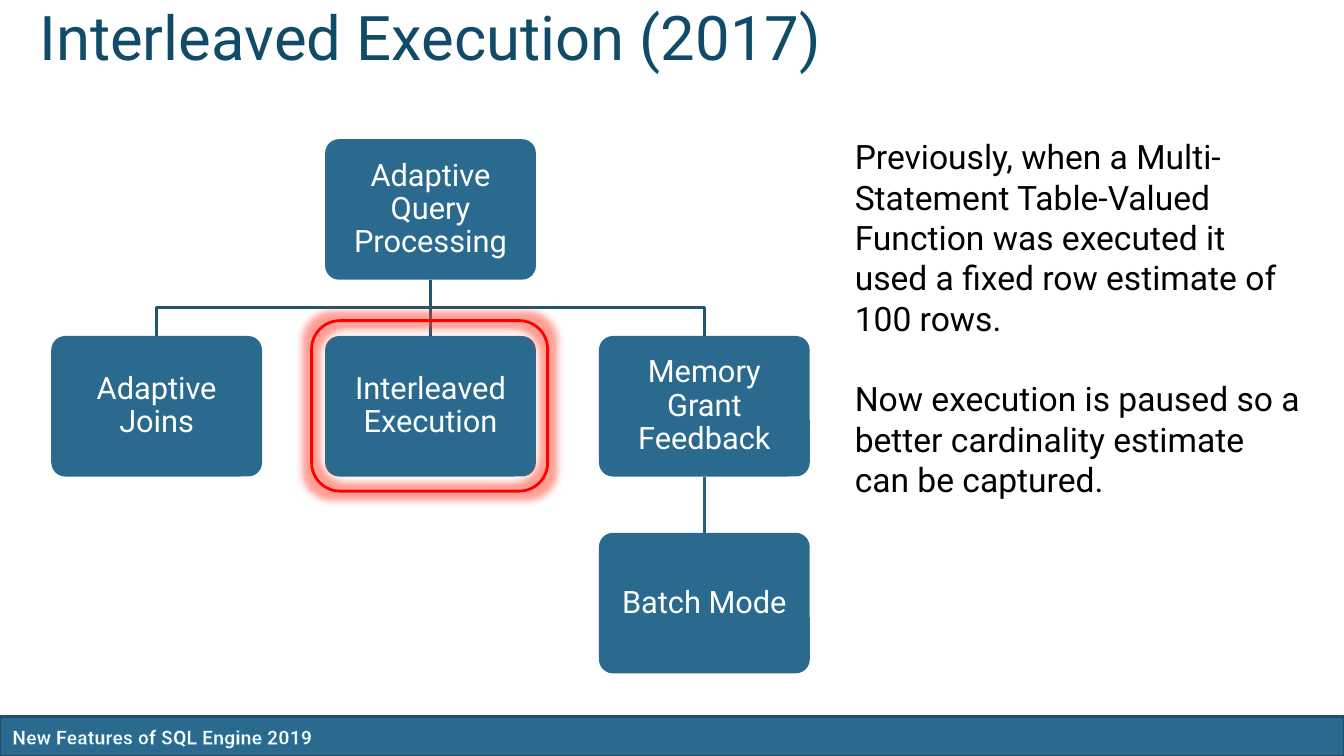
from lxml.etree import SubElement
from pptx import Presentation
from pptx.dml.color import RGBColor
from pptx.enum.shapes import MSO_CONNECTOR, MSO_SHAPE
from pptx.enum.text import MSO_ANCHOR, MSO_AUTO_SIZE, PP_ALIGN
from pptx.oxml.ns import qn
from pptx.util import Pt

COLORS = {
    "box": "296A8E", "bar_edge": "1E4E69", "title": "104C6A",
    "branch": "215572", "batch_branch": "256081", "white": "FFFFFF",
    "black": "000000", "text_edge": "1872A0", "highlight": "FF0000",
    "glow": "FF3C28",
}

# Tree grid
LEFT, TOP = 36.6, 99.4
BOX_WIDTH, BOX_HEIGHT = 150.6, 100.4
COLUMN_STEP, ROW_STEP = 195.6, 140.6

# Name: (text, column, row)
NODES = {
    "root": ("Adaptive Query Processing", 1, 0),
    "joins": ("Adaptive Joins", 0, 1),
    "interleaved": ("Interleaved Execution", 1, 1),
    "memory": ("Memory Grant Feedback", 2, 1),
    "batch": ("Batch Mode", 2, 2),
}


def color(name):
    return RGBColor.from_string(COLORS[name])


def add_color(parent, name):
    fill = SubElement(parent, qn("a:solidFill"))
    return SubElement(fill, qn("a:srgbClr"), val=COLORS[name])


class SlideBuilder:
    font_name = "Roboto"

    def __init__(self, slide):
        self.slide = slide

    def fill_text(self, shape, paragraphs, size, font_color, bold=False,
                  inset=(7.2, 3.6), anchor=MSO_ANCHOR.TOP, **paragraph_format):
        frame = shape.text_frame
        horizontal, vertical = map(Pt, inset)
        frame_format = {
            "word_wrap": True, "auto_size": MSO_AUTO_SIZE.NONE,
            "vertical_anchor": anchor,
            "margin_left": horizontal, "margin_right": horizontal,
            "margin_top": vertical, "margin_bottom": vertical,
        }
        for name, value in frame_format.items():
            setattr(frame, name, value)
        frame.text = "\n".join(paragraphs)
        font_format = {"name": self.font_name, "size": Pt(size), "bold": bold}
        for paragraph in frame.paragraphs:
            for name, value in paragraph_format.items():
                setattr(paragraph, name, value)
            for run in paragraph.runs:
                for name, value in font_format.items():
                    setattr(run.font, name, value)
                run.font.color.rgb = color(font_color)
        return frame

    def title(self, text, left, top, width, height):
        shape = self.slide.shapes.title
        shape.left, shape.top = Pt(left), Pt(top)
        shape.width, shape.height = Pt(width), Pt(height)
        self.fill_text(shape, [text], 44, "title", alignment=PP_ALIGN.LEFT,
                       line_spacing=Pt(35))

    def text(self, paragraphs, left, top, width, height, size, font_color, bold=False):
        shape = self.slide.shapes.add_textbox(Pt(left), Pt(top), Pt(width), Pt(height))
        return self.fill_text(shape, paragraphs, size, font_color, bold)

    def box(self, kind, left, top, width, height, fill=None, line=None):
        shape = self.slide.shapes.add_shape(kind, Pt(left), Pt(top), Pt(width), Pt(height))
        self.paint(shape, fill, line)
        return shape

    def paint(self, shape, fill, line):
        shape.shadow.inherit = False
        if fill:
            shape.fill.solid()
            shape.fill.fore_color.rgb = color(fill)
        else:
            shape.fill.background()
        if line:
            shape.line.color.rgb = color(line)
            shape.line.width = Pt(2)
        else:
            shape.line.fill.background()

    def node(self, text, column, row):
        shape = self.box(MSO_SHAPE.ROUNDED_RECTANGLE, LEFT + column * COLUMN_STEP,
                         TOP + row * ROW_STEP, BOX_WIDTH, BOX_HEIGHT, "box")
        shape.adjustments[0] = 0.1
        self.fill_text(shape, [text], 22, "white", inset=(9.4, 9.4),
                       anchor=MSO_ANCHOR.MIDDLE, alignment=PP_ALIGN.CENTER,
                       line_spacing=0.9)
        return shape

    def straight(self, parent, child, line):
        center = parent.left + parent.width // 2
        connector = self.slide.shapes.add_connector(
            MSO_CONNECTOR.STRAIGHT, center, parent.top + parent.height, center, child.top)
        connector.begin_connect(parent, 2)
        connector.end_connect(child, 0)
        connector.line.color.rgb = color(line)
        connector.line.width = Pt(2)
        SubElement(connector._element.spPr, qn("a:effectLst"))

    def elbow(self, parent, child, line):
        """Draw a bent branch that turns halfway between the two rows."""
        start_x = parent.left + parent.width // 2
        end_x = child.left + child.width // 2
        bottom = parent.top + parent.height
        middle = (bottom + child.top) // 2
        builder = self.slide.shapes.build_freeform(start_x, bottom)
        builder.add_line_segments(
            [(start_x, middle), (end_x, middle), (end_x, child.top)], close=False)
        self.paint(builder.convert_to_shape(), None, line)

    def glow(self, shape, radius):
        effects = shape._element.spPr.find(qn("a:effectLst"))
        glow = SubElement(effects, qn("a:glow"), rad=str(Pt(radius)))
        tint = SubElement(glow, qn("a:srgbClr"), val=COLORS["glow"])
        SubElement(tint, qn("a:alpha"), val="50000")

    def outline_text(self, frame, width):
        properties = frame.paragraphs[0].runs[0]._r.get_or_add_rPr()
        outline = properties.makeelement(qn("a:ln"), {"w": str(Pt(width))})
        properties.insert(0, outline)
        add_color(outline, "text_edge")


def main():
    presentation = Presentation()
    presentation.slide_width, presentation.slide_height = Pt(960), Pt(540)
    slide = presentation.slides.add_slide(presentation.slide_layouts[5])
    builder = SlideBuilder(slide)

    builder.box(MSO_SHAPE.RECTANGLE, 0, 512, 960, 28.5, "box", "bar_edge")
    footer = builder.text(["New Features of SQL Engine 2019"],
                          1.6, 514.3, 436, 24.2, 14, "white", bold=True)
    builder.outline_text(footer, 0.8)
    builder.title("Interleaved Execution (2017)", 21, 13.5, 864, 90)

    nodes = {name: builder.node(*details) for name, details in NODES.items()}
    for side in ("joins", "memory"):
        builder.elbow(nodes["root"], nodes[side], "branch")
    builder.straight(nodes["root"], nodes["interleaved"], "branch")
    builder.straight(nodes["memory"], nodes["batch"], "batch_branch")

    explanation = builder.text([
        "Previously, when a Multi-Statement Table-Valued Function was executed "
        "it used a fixed row estimate of 100 rows.",
        "Now execution is paused so a better cardinality estimate can be captured.",
    ], 603.5, 93.8, 335.5, 269, 24, "black")
    explanation.paragraphs[1].space_before = Pt(28.8)

    highlight = builder.box(MSO_SHAPE.ROUNDED_RECTANGLE, 222.6, 229, 168.6, 121.8,
                            line="highlight")
    builder.glow(highlight, 11)

    presentation.save("out.pptx")


if __name__ == "__main__":
    main()
